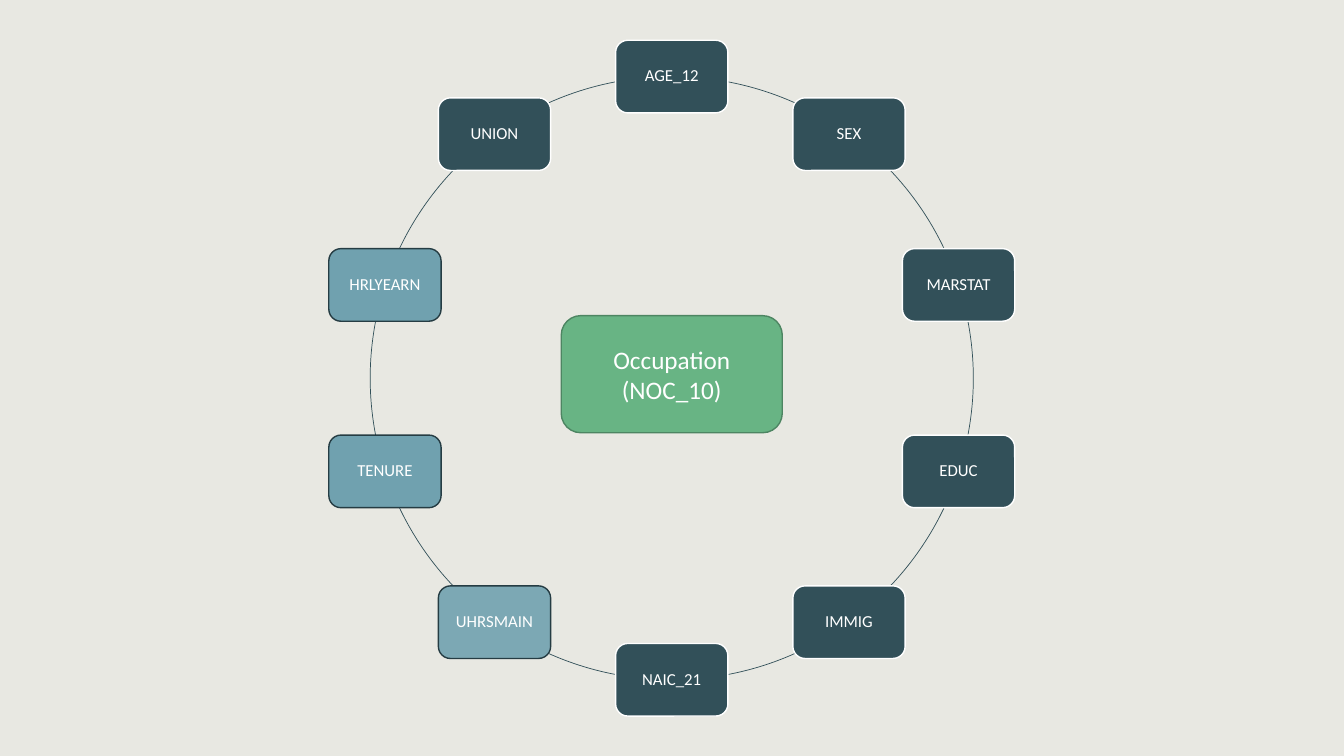
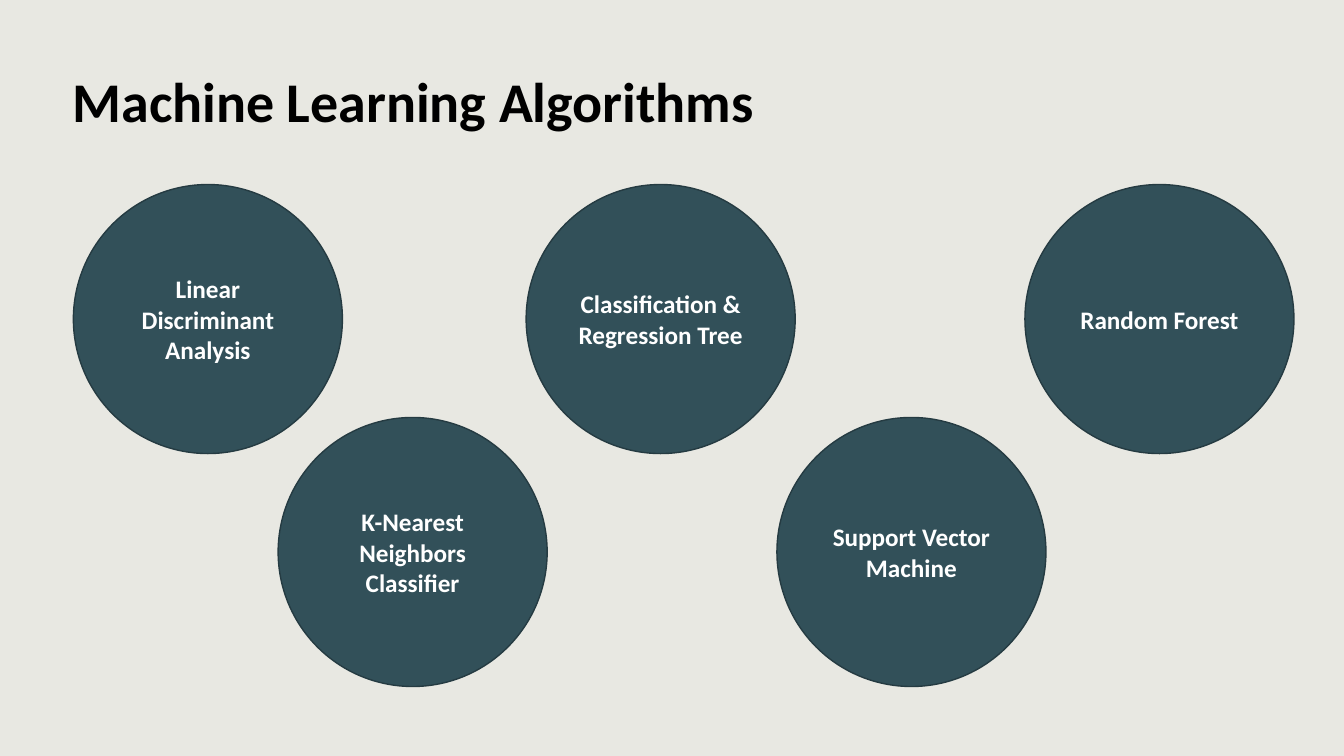
from math import cos, pi, sin

from pptx import Presentation
from pptx.dml.color import RGBColor
from pptx.enum.shapes import MSO_SHAPE as Shape
from pptx.enum.text import MSO_ANCHOR as Anchor, PP_ALIGN as Align
from pptx.util import Cm, Pt

FONT = "Calibri"
BACKGROUND, WHITE, BLACK = "E8E8E2", "FFFFFF", "000000"
DARK_TEAL, TEAL, LIGHT_TEAL, GREEN = "325059", "70A1AF", "7CA8B4", "68B484"
TEAL_EDGE, CIRCLE_EDGE, GREEN_EDGE = "253C43", "253B42", "4D8562"

TARGET = "Occupation\n(NOC_10)"
# Clockwise from the top: label, fill, outline
FEATURES = [
    ("AGE_12", DARK_TEAL, WHITE),
    ("SEX", DARK_TEAL, WHITE),
    ("MARSTAT", DARK_TEAL, WHITE),
    ("EDUC", DARK_TEAL, WHITE),
    ("IMMIG", DARK_TEAL, WHITE),
    ("NAIC_21", DARK_TEAL, WHITE),
    ("UHRSMAIN", LIGHT_TEAL, TEAL_EDGE),
    ("TENURE", TEAL, TEAL_EDGE),
    ("HRLYEARN", TEAL, TEAL_EDGE),
    ("UNION", DARK_TEAL, WHITE),
]
RING_X, RING_Y, RING_RADIUS = 16.93, 9.53, 7.6
FEATURE_SIZE = (2.83, 1.83)
TARGET_SIZE = (5.57, 2.95)
TARGET_Y = 9.43

TITLE = "Machine Learning Algorithms"
# Label and left edge; the circles alternate between two rows
ALGORITHMS = [
    ("Linear Discriminant Analysis", 1.85),
    ("K-Nearest Neighbors Classifier", 7.01),
    ("Classification & Regression Tree", 13.26),
    ("Support Vector Machine", 19.58),
    ("Random Forest", 25.83),
]
ROW_TOPS = (4.65, 10.52)
DIAMETER = 6.78


def color(value):
    return RGBColor.from_string(value)


def write(shape, text, size=18, ink=WHITE, bold=False, align=Align.CENTER,
          anchor=Anchor.MIDDLE, spacing=None, margin=None):
    """Fill the shape with one paragraph per line of text."""
    frame = shape.text_frame
    frame.word_wrap = True
    frame.vertical_anchor = anchor
    if margin is not None:
        frame.margin_left = frame.margin_right = Cm(margin)
        frame.margin_top = frame.margin_bottom = Cm(margin)
    frame.text = text
    for paragraph in frame.paragraphs:
        paragraph.alignment = align
        paragraph.line_spacing = spacing
        font = paragraph.font
        font.name, font.size, font.bold = FONT, Pt(size), bold
        font.color.rgb = color(ink)


def add_centered(slide, kind, center, size, fill, edge, edge_width=1):
    """Add a preset shape around a center point; fill None leaves it hollow."""
    (x, y), (width, height) = center, size
    shape = slide.shapes.add_shape(kind, Cm(x - width / 2), Cm(y - height / 2),
                                   Cm(width), Cm(height))
    shape.shadow.inherit = False
    if fill is None:
        shape.fill.background()
    else:
        shape.fill.solid()
        shape.fill.fore_color.rgb = color(fill)
    shape.line.color.rgb = color(edge)
    shape.line.width = Pt(edge_width)
    return shape


def build_feature_ring(slide):
    add_centered(slide, Shape.OVAL, (RING_X, RING_Y),
                 (2 * RING_RADIUS, 2 * RING_RADIUS), None, DARK_TEAL, 0.5)
    for index, (label, fill, edge) in enumerate(FEATURES):
        angle = 2 * pi * index / len(FEATURES)
        center = (RING_X + RING_RADIUS * sin(angle),
                  RING_Y - RING_RADIUS * cos(angle))
        box = add_centered(slide, Shape.ROUNDED_RECTANGLE, center,
                           FEATURE_SIZE, fill, edge)
        write(box, label, size=12, spacing=0.9, margin=0.12)
    target = add_centered(slide, Shape.ROUNDED_RECTANGLE, (RING_X, TARGET_Y),
                          TARGET_SIZE, GREEN, GREEN_EDGE)
    write(target, TARGET)


def build_algorithms(slide):
    for index, (label, left) in enumerate(ALGORITHMS):
        center = (left + DIAMETER / 2, ROW_TOPS[index % 2] + DIAMETER / 2)
        circle = add_centered(slide, Shape.OVAL, center, (DIAMETER, DIAMETER),
                              DARK_TEAL, CIRCLE_EDGE)
        write(circle, label, bold=True)
    title = slide.shapes.add_textbox(Cm(1.58), Cm(1.55), Cm(22.58), Cm(2.36))
    write(title, TITLE, size=40, ink=BLACK, bold=True, align=Align.LEFT,
          anchor=Anchor.TOP)


def main():
    presentation = Presentation()
    presentation.slide_width, presentation.slide_height = Cm(33.87), Cm(19.05)
    background = presentation.slide_master.background.fill
    background.solid()
    background.fore_color.rgb = color(BACKGROUND)
    blank = presentation.slide_layouts[6]
    for build in (build_feature_ring, build_algorithms):
        build(presentation.slides.add_slide(blank))
    presentation.save("out.pptx")


if __name__ == "__main__":
    main()
